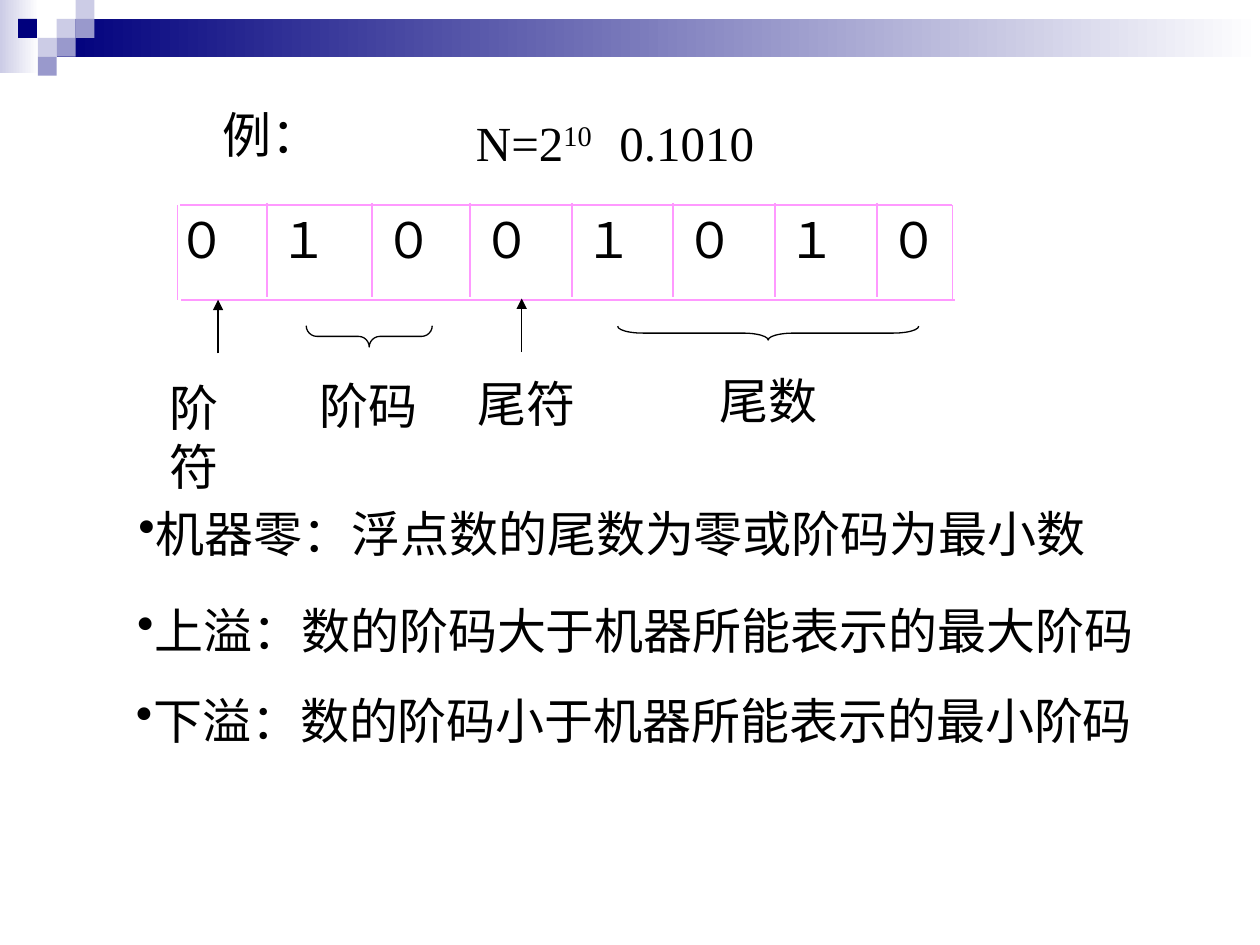
import pptx
import pptx.util
import pptx.dml.color
import pptx.enum.shapes
import pptx.oxml
import pptx.oxml.ns

Pt = pptx.util.Pt
SHAPES = pptx.enum.shapes.MSO_SHAPE
BLACK, PINK = "000000", "FF99FF"
NAVY, LILAC, PERIWINKLE, WHITE = "00007D", "CCCCE6", "9999CC", "FFFFFF"
SANS, SERIF = "Arial", "Times New Roman"


def color(value):
    return pptx.dml.color.RGBColor.from_string(value)


def drawing_element(tag, **attributes):
    element = pptx.oxml.parse_xml(f"<a:{tag} {pptx.oxml.ns.nsdecls('a')}/>")
    for name, value in attributes.items():
        element.set(name, value)
    return element


def add_block(slide, left, top, width, height, *fills):
    block = slide.shapes.add_shape(SHAPES.RECTANGLE, Pt(left), Pt(top), Pt(width), Pt(height))
    block.shadow.inherit = False
    block.line.fill.background()
    if len(fills) == 1:
        block.fill.solid()
        block.fill.fore_color.rgb = color(fills[0])
    else:
        block.fill.gradient()
        block.fill.gradient_angle = 0
        for stop, position, value in zip(block.fill.gradient_stops, (0, 1), fills):
            stop.position = position
            stop.color.rgb = color(value)


def add_line(slide, x1, y1, x2, y2, stroke, weight, arrow=False):
    line = slide.shapes.add_connector(
        pptx.enum.shapes.MSO_CONNECTOR.STRAIGHT, Pt(x1), Pt(y1), Pt(x2), Pt(y2))
    line.line.color.rgb = color(stroke)
    line.line.width = Pt(weight)
    line._element.spPr.append(drawing_element("effectLst"))
    if arrow:
        line.line._get_or_add_ln().append(drawing_element("tailEnd", type="triangle"))


def add_text(slide, left, top, width, height, text, font, wrap=False, bullet=False):
    frame = slide.shapes.add_textbox(Pt(left), Pt(top), Pt(width), Pt(height)).text_frame
    frame.word_wrap = wrap
    paragraph = frame.paragraphs[0]
    if bullet:
        paragraph._p.get_or_add_pPr().append(drawing_element("buChar", char="•"))
    add_run(paragraph, text, font)
    return paragraph


def add_run(paragraph, text, font):
    run = paragraph.add_run()
    run.text = text
    run.font.size = Pt(28)
    run.font.name = font
    run.font.color.rgb = color(BLACK)
    return run


def add_brace(slide, left, top, width, height, curve):
    brace = slide.shapes.add_shape(
        SHAPES.LEFT_BRACE, Pt(left + (width - height) / 2), Pt(top + (height - width) / 2),
        Pt(height), Pt(width))
    brace.rotation = 270
    brace.adjustments[0] = curve
    brace.adjustments[1] = 0.5
    brace.shadow.inherit = False
    brace.fill.background()
    brace.line.color.rgb = color(BLACK)
    brace.line.width = Pt(0.75)


def add_header(slide, left, top, width):
    add_block(slide, left, top, 22.3, 41.8, LILAC, WHITE)
    add_block(slide, left + 32.4, top + 10.8, width - 32.4, 21.6, NAVY, WHITE)
    tile = 10.8
    tiles = [(32.4, 1, LILAC), (43.2, 0, LILAC), (43.2, 1, PERIWINKLE), (21.6, 2, LILAC),
             (10.3, 1, NAVY), (32.4, 2, PERIWINKLE), (21.6, 3, PERIWINKLE)]
    for x, row, fill in tiles:
        add_block(slide, left + x, top + row * tile, tile, tile, fill)


def add_example(slide, left, top):
    add_text(slide, left, top, 69.8, 41, "例：", SERIF)
    formula = add_text(slide, left + 144.7, top + 4.3, 179.3, 41, "N=2", SERIF, wrap=True)
    tabs = drawing_element("tabLst")
    tabs.append(drawing_element("tab", pos=str(Pt(82)), algn="l"))
    formula._p.get_or_add_pPr().append(tabs)
    exponent = add_run(formula, "10", SERIF)
    exponent.font._element.set("baseline", "30000")
    add_run(formula, "\t0.1010", SERIF)


def add_register(slide, left, top, height):
    edges = [left + x for x in (0, 58.3, 118.1, 174.2, 232.6, 290.2, 348.5, 406.8, 442.1)]
    for bit, start, end in zip("０１００１０１０", edges, edges[1:]):
        add_text(slide, start, top, end - start, height, bit, SANS, wrap=True)
    frame_top, frame_bottom = top + 1.4, top + height + 1.4
    first, last = left + 7.2, left + 450
    add_line(slide, first + 1.4, frame_top, last, frame_top, PINK, 1)
    for x in edges[1:-1]:
        add_line(slide, x, top, x, top + height, PINK, 1)
    for x in (first, last):
        add_line(slide, x, frame_top, x, frame_bottom, PINK, 1)
    add_line(slide, first + 2.2, frame_bottom, last + 1.4, frame_bottom, PINK, 1)


def add_field_labels(slide, left, top):
    for x, y in ((34.6, 0.7), (208.1, 0)):
        add_line(slide, left + x, top + y + 30.6, left + x, top + y, BLACK, 0.75, arrow=True)
    add_brace(slide, left + 85, top + 15.5, 72, 12.2, 0.5)
    add_brace(slide, left + 263, top + 15.8, 172, 7.9, 1.82)
    add_text(slide, left, top + 41.8, 69.8, 74.2, "阶符", SANS, wrap=True)
    for x, y, label in ((85.7, 40.3, "阶码"), (175.7, 39.6, "尾符"), (313.9, 37.4, "尾数")):
        add_text(slide, left + x, top + y, 70.6, 41, label, SANS)


def add_definitions(slide, left, top, width):
    definitions = [
        (1.4, 0, "机器零：浮点数的尾数为零或阶码为最小数"),
        (0.7, 55.4, "上溢：数的阶码大于机器所能表示的最大阶码"),
        (0, 106.6, "下溢：数的阶码小于机器所能表示的最小阶码"),
    ]
    for x, y, definition in definitions:
        add_text(slide, left + x, top + y, width, 41, definition, SERIF, wrap=True, bullet=True)


def main():
    presentation = pptx.Presentation()
    presentation.slide_width, presentation.slide_height = Pt(720), Pt(540)
    slide = presentation.slides.add_slide(presentation.slide_layouts[6])
    add_header(slide, 0, 0, 720)
    add_register(slide, 94.3, 115.9, 54)
    add_field_labels(slide, 90, 170.6)
    add_example(slide, 120.2, 56.2)
    add_definitions(slide, 70.6, 284.4, 610)
    presentation.save("out.pptx")


if __name__ == "__main__":
    main()
